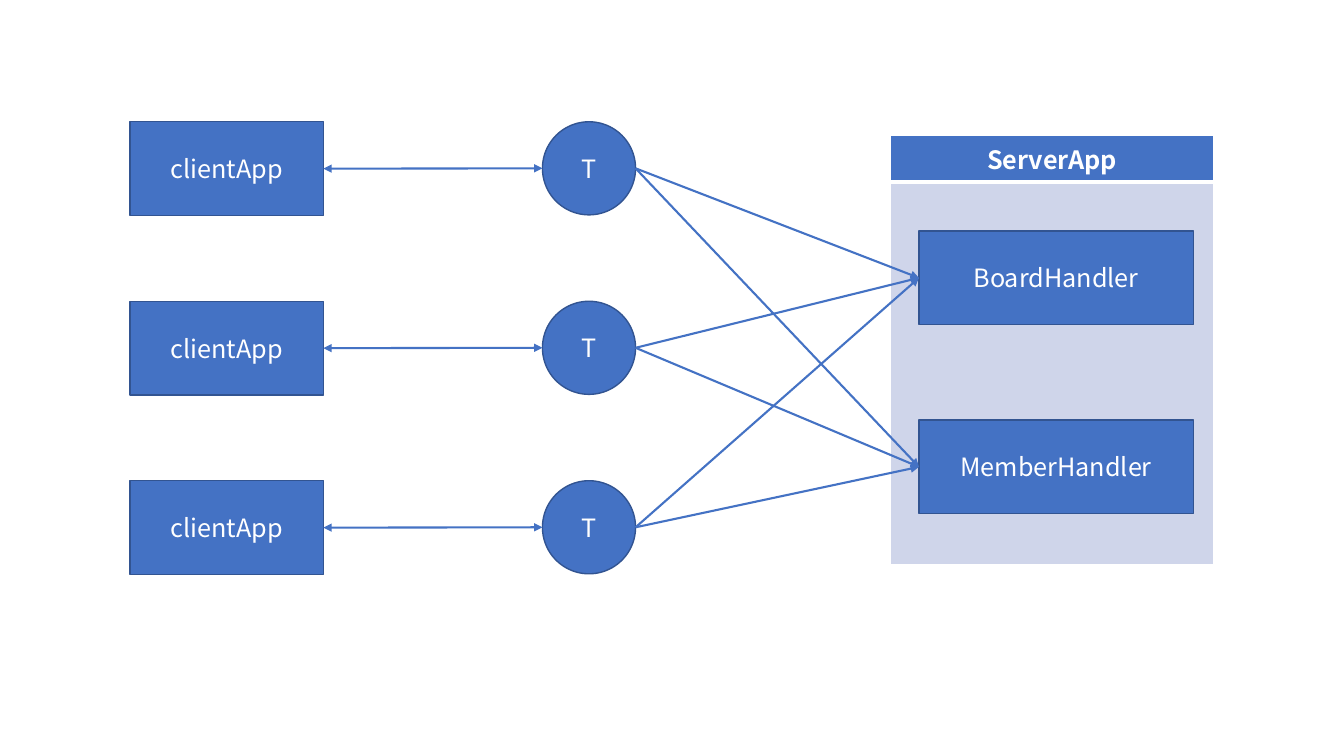
import pptx
import pptx.dml.color
import pptx.enum.shapes
import pptx.enum.text
import pptx.oxml
import pptx.oxml.ns
import pptx.util
from lxml import etree

Pt = pptx.util.Pt
SHAPES = pptx.enum.shapes.MSO_SHAPE
FONT = "Noto Sans CJK KR"
COLORS = {
    "blue": "4472C4",
    "outline": "325491",
    "panel": "CFD5EA",
    "white": "FFFFFF",
}
TOP, ROW_PITCH, BOX_HEIGHT = 87, 128.2, 67
CLIENT_LEFT, CLIENT_WIDTH = 93, 138
THREAD_LEFT, THREAD_SIZE = 387.5, 66.5
HANDLER_LEFT, HANDLER_WIDTH = 656.4, 196


def rgb(name):
    return pptx.dml.color.RGBColor.from_string(COLORS[name])


def set_fill(target, color):
    target.fill.solid()
    target.fill.fore_color.rgb = rgb(color)


def write_text(text_frame, text, size=18, color="white", bold=False):
    paragraph = text_frame.paragraphs[0]
    paragraph.alignment = pptx.enum.text.PP_ALIGN.CENTER
    run = paragraph.add_run()
    run.text = text
    run.font.name = FONT
    run.font.size = Pt(size)
    run.font.bold = bold
    run.font.color.rgb = rgb(color)


def add_node(slide, kind, text, left, top, width, height):
    shape = slide.shapes.add_shape(kind, Pt(left), Pt(top), Pt(width), Pt(height))
    shape.shadow.inherit = False
    set_fill(shape, "blue")
    shape.line.color.rgb = rgb("outline")
    shape.line.width = Pt(1)
    shape.text_frame.vertical_anchor = pptx.enum.text.MSO_ANCHOR.MIDDLE
    write_text(shape.text_frame, text)
    return shape


def add_arrow(slide, start, end, both_ends=False):
    """Draw a straight arrow between two points given in EMU."""
    connector = slide.shapes.add_connector(
        pptx.enum.shapes.MSO_CONNECTOR.STRAIGHT, *start, *end
    )
    connector.line.color.rgb = rgb("blue")
    connector.line.width = Pt(1.5)
    line = connector.line._get_or_add_ln()
    for tag in ("a:headEnd", "a:tailEnd") if both_ends else ("a:tailEnd",):
        etree.SubElement(line, pptx.oxml.ns.qn(tag), type="triangle")
    etree.SubElement(connector._element.spPr, pptx.oxml.ns.qn("a:effectLst"))
    return connector


def left_middle(shape):
    return shape.left, shape.top + shape.height // 2


def right_middle(shape):
    return shape.left + shape.width, shape.top + shape.height // 2


def set_borders(cell, **widths):
    """Give the cell white borders, in points, keyed by side L, R, T, B."""
    properties = cell._tc.get_or_add_tcPr()
    for side, width in widths.items():
        border = etree.SubElement(
            properties, pptx.oxml.ns.qn(f"a:ln{side}"), w=str(Pt(width))
        )
        fill = etree.SubElement(border, pptx.oxml.ns.qn("a:solidFill"))
        etree.SubElement(fill, pptx.oxml.ns.qn("a:srgbClr"), val=COLORS["white"])


def add_server_table(slide, left, top, width, row_heights):
    frame = slide.shapes.add_table(
        2, 1, Pt(left), Pt(top), Pt(width), Pt(sum(row_heights))
    )
    table = frame.table
    for row, height in zip(table.rows, row_heights):
        row.height = Pt(height)
    header, body = table.cell(0, 0), table.cell(1, 0)
    set_borders(header, L=1, R=1, T=1, B=3)
    set_borders(body, L=1, R=1, T=3, B=1)
    set_fill(header, "blue")
    set_fill(body, "panel")
    write_text(header.text_frame, "ServerApp", bold=True)


def main():
    presentation = pptx.Presentation()
    presentation.slide_width = Pt(960)
    presentation.slide_height = Pt(540)
    slide = presentation.slides.add_slide(presentation.slide_layouts[6])

    add_server_table(slide, 636, 96.5, 231, (33.2, 273.6))
    handlers = [
        add_node(slide, SHAPES.RECTANGLE, name,
                 HANDLER_LEFT, top, HANDLER_WIDTH, BOX_HEIGHT)
        for name, top in (("BoardHandler", 165), ("MemberHandler", 300))
    ]
    for row in range(3):
        top = TOP + row * ROW_PITCH
        client = add_node(slide, SHAPES.RECTANGLE, "clientApp",
                          CLIENT_LEFT, top, CLIENT_WIDTH, BOX_HEIGHT)
        thread = add_node(slide, SHAPES.OVAL, "T",
                          THREAD_LEFT, top, THREAD_SIZE, THREAD_SIZE)
        link = add_arrow(slide, right_middle(client), left_middle(thread), both_ends=True)
        link.begin_connect(client, 3)
        for handler in handlers:
            call = add_arrow(slide, right_middle(thread), left_middle(handler))
            call.end_connect(handler, 1)

    presentation.save("out.pptx")


if __name__ == "__main__":
    main()
